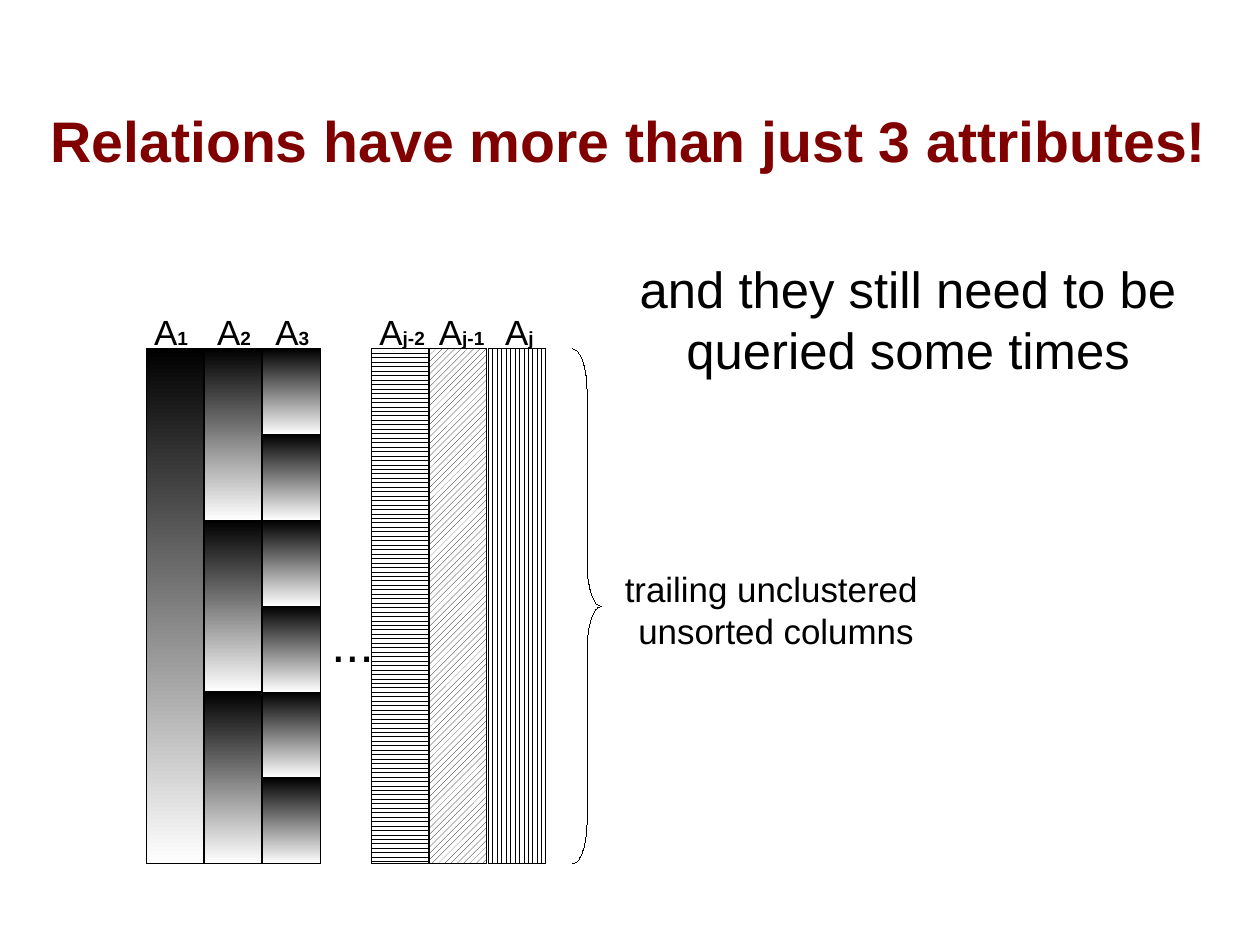
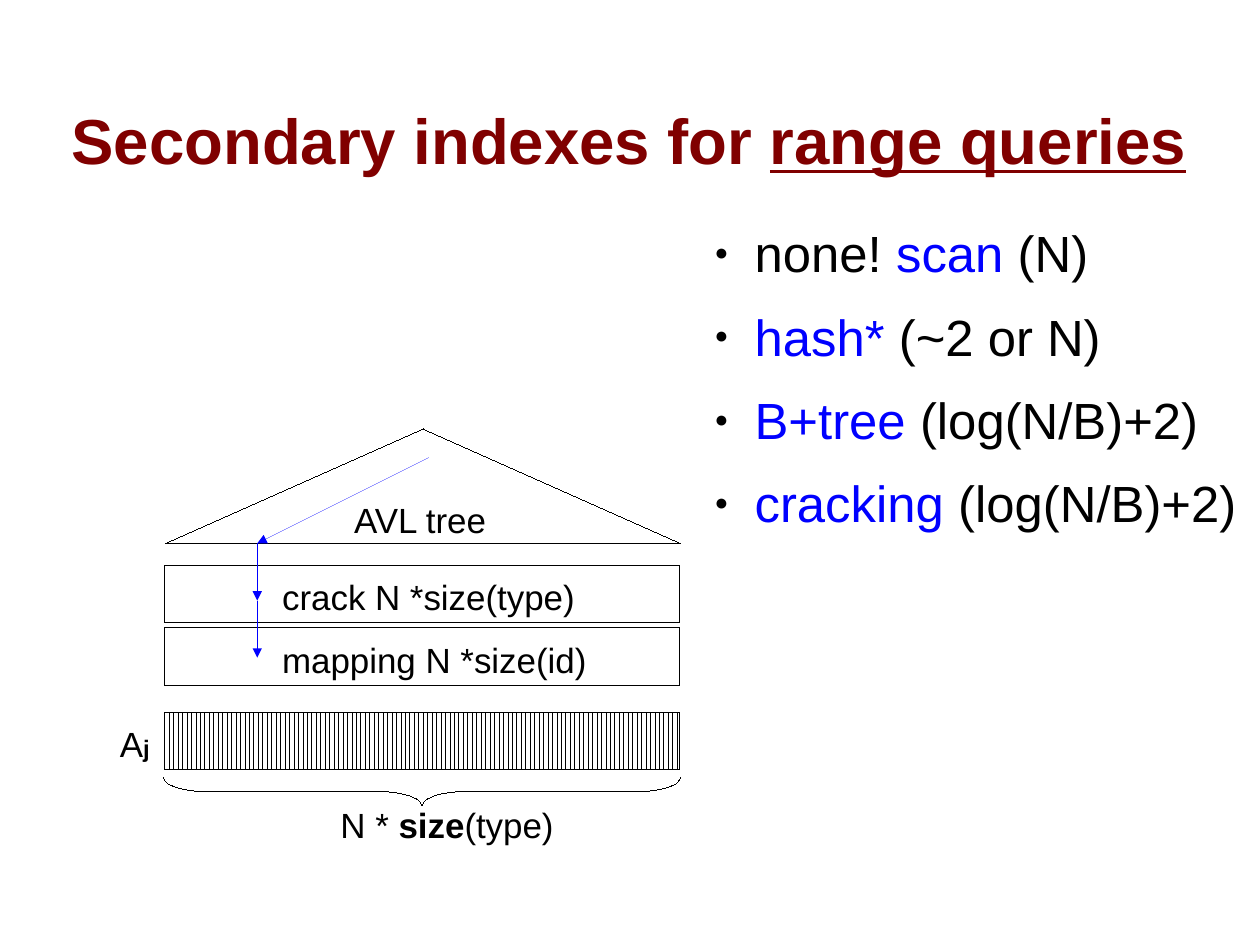
from lxml.etree import SubElement
from pptx import Presentation
from pptx.dml.color import RGBColor
from pptx.enum.dml import MSO_PATTERN_TYPE
from pptx.enum.shapes import MSO_CONNECTOR, MSO_SHAPE
from pptx.enum.text import MSO_ANCHOR, MSO_AUTO_SIZE, PP_ALIGN
from pptx.oxml.ns import qn
from pptx.util import Inches, Pt

COLORS = {"ink": "000000", "paper": "FFFFFF", "title": "800000", "accent": "0000FF"}
FONT = "Arial"
TITLE_BOX = (0.25, 0.53, 10.5, 1.38)
LABEL_SIZE = 22
LABEL_H = 0.44
INDEX_W = 0.65
HAIRLINE = Pt(0.01)
BAR = 0.5
PITCH = 0.51
BRACE_W = 0.25


def rgb(name):
    """Return a palette colour."""
    return RGBColor.from_string(COLORS[name])


def write_runs(p, runs, size, color="ink", bold=False):
    """Fill a paragraph with (text, overrides) runs."""
    for text, own in runs:
        r = p.add_run()
        r.text = text
        r.font.name = FONT
        r.font.size = Pt(own.get("size", size))
        r.font.bold = own.get("bold", bold)
        r.font.underline = own.get("underline", False)
        r.font.color.rgb = rgb(own.get("color", color))


def place_placeholder(sp, box, anchor):
    """Move a placeholder to a box, without margins, and return its frame."""
    sp.left, sp.top, sp.width, sp.height = map(Inches, box)
    tf = sp.text_frame
    tf.margin_left = tf.margin_right = tf.margin_top = tf.margin_bottom = 0
    tf.auto_size = MSO_AUTO_SIZE.NONE
    tf.vertical_anchor = anchor
    return tf


def new_slide(prs, title, size):
    """Add a slide with the shared title style."""
    s = prs.slides.add_slide(prs.slide_layouts[1])
    tf = place_placeholder(s.shapes.title, TITLE_BOX, MSO_ANCHOR.MIDDLE)
    p = tf.paragraphs[0]
    p.alignment = PP_ALIGN.CENTER
    write_runs(p, title, size, "title", True)
    return s


def add_body(s, box, items, bulleted):
    """Fill the body placeholder with bulleted or centred paragraphs."""
    tf = place_placeholder(s.placeholders[1], box, MSO_ANCHOR.TOP)
    for i, runs in enumerate(items):
        p = tf.add_paragraph() if i else tf.paragraphs[0]
        p.alignment = PP_ALIGN.LEFT if bulleted else PP_ALIGN.CENTER
        p.space_before, p.space_after = Pt(0), Pt(14.1)
        write_runs(p, runs, 32)
        pPr = p._p.get_or_add_pPr()
        indent = Inches(0.35) if bulleted else 0
        pPr.set("marL", str(indent))
        pPr.set("indent", str(-indent))
        if bulleted:
            SubElement(SubElement(pPr, qn("a:buClr")), qn("a:srgbClr"), val=COLORS["ink"])
            SubElement(pPr, qn("a:buSzPct"), val="45000")
            SubElement(pPr, qn("a:buFont"), typeface=FONT)
            SubElement(pPr, qn("a:buChar"), char="●")
        else:
            SubElement(pPr, qn("a:buNone"))


def add_label(s, box, *lines, size=LABEL_SIZE, align=PP_ALIGN.LEFT):
    """Add an unwrapped text box, one list of runs for each line."""
    tf = s.shapes.add_textbox(*map(Inches, box)).text_frame
    tf.word_wrap = False
    tf.auto_size = MSO_AUTO_SIZE.SHAPE_TO_FIT_TEXT
    for i, runs in enumerate(lines):
        p = tf.add_paragraph() if i else tf.paragraphs[0]
        p.alignment = align
        write_runs(p, runs, size)


def attribute(index, size=12):
    """Return the runs of an attribute name with its small index."""
    return [("A", {}), (index, {"size": size, "bold": True})]


def add_outline(s, kind, box):
    """Add an unfilled shape with a hairline."""
    sp = s.shapes.add_shape(kind, *map(Inches, box))
    sp.shadow.inherit = False
    sp.fill.background()
    sp.line.color.rgb = rgb("ink")
    sp.line.width = HAIRLINE
    return sp


def add_hatched(s, box, pattern):
    """Add a bar with a line pattern."""
    fill = add_outline(s, MSO_SHAPE.RECTANGLE, box).fill
    fill.patterned()
    fill.pattern = pattern
    fill.fore_color.rgb, fill.back_color.rgb = rgb("ink"), rgb("paper")


def add_sorted_column(s, box, parts):
    """Stack equal parts, each shaded from dark to light."""
    x, y, w, h = box
    part_h = h / parts
    for i in range(parts):
        fill = add_outline(s, MSO_SHAPE.RECTANGLE, (x, y + i * part_h, w, part_h)).fill
        fill.gradient()
        fill.gradient_angle = 270
        for stop, name in zip(fill.gradient_stops, ("ink", "paper")):
            stop.color.rgb = rgb(name)


def add_brace(s, box, rotation=0):
    """Add a right brace, optionally turned about its centre."""
    sp = add_outline(s, MSO_SHAPE.RIGHT_BRACE, box)
    sp.adjustments[0], sp.adjustments[1] = 1.5, 0.5
    sp.rotation = rotation


def add_arrow(s, start, end):
    """Add a hairline arrow between two points."""
    sp = s.shapes.add_connector(MSO_CONNECTOR.STRAIGHT, *map(Inches, start + end))
    sp.line.color.rgb = rgb("accent")
    sp.line.width = HAIRLINE
    spPr = sp._element.spPr
    SubElement(spPr.find(qn("a:ln")), qn("a:tailEnd"), type="triangle")
    SubElement(spPr, qn("a:effectLst"))


def add_relation(s, x, y, h):
    """Draw the sorted columns, the unsorted columns and their brace."""
    label_y = y - 0.38
    sorted_columns = [("1", 1, -0.03), ("2", 3, 0.01), ("3", 6, 0.01)]
    unsorted_columns = [
        ("j-2", MSO_PATTERN_TYPE.HORIZONTAL, -0.03),
        ("j-1", MSO_PATTERN_TYPE.WIDE_UPWARD_DIAGONAL, -0.02),
        ("j", MSO_PATTERN_TYPE.VERTICAL, 0.05),
    ]
    groups = [(x, sorted_columns, add_sorted_column), (x + 1.97, unsorted_columns, add_hatched)]
    for group_x, columns, add_column in groups:
        for i, (index, look, shift) in enumerate(columns):
            left = group_x + i * PITCH
            add_column(s, (left, y, BAR, h), look)
            add_label(s, (left + shift, label_y, INDEX_W, LABEL_H), attribute(index))
    add_label(s, (x + 1.52, y + h / 2, 0.65, 0.6), [("...", {})], size=32)
    add_brace(s, (x + 3.73, y, BRACE_W, h))
    add_label(s, (x + 4.08, y + 1.86, 2.77, 0.78), [("trailing unclustered", {})],
              [(" unsorted columns", {})], align=PP_ALIGN.CENTER)


def add_cracker_index(s, x, y, w):
    """Draw the tree, its two arrays, the base column and the lookup arrows."""
    add_outline(s, MSO_SHAPE.ISOSCELES_TRIANGLE, (x + 0.01, y, w, 1))
    add_label(s, (x + 1.56, y + 0.56, 1.6, LABEL_H), [("AVL tree ", {})])
    for i, text in enumerate(["crack N *size(type)", "mapping N *size(id)"]):
        top = y + 1.19 + i * 0.55
        add_outline(s, MSO_SHAPE.RECTANGLE, (x, top, w, BAR))
        add_label(s, (x + 0.93, top + 0.04, 3, LABEL_H), [(text, {})])
    base_y = y + 2.48
    add_hatched(s, (x, base_y, w, BAR), MSO_PATTERN_TYPE.VERTICAL)
    add_label(s, (x - 0.49, base_y + 0.04, INDEX_W, LABEL_H), attribute("j", 15))
    add_brace(s, (x + (w - BRACE_W) / 2, base_y + 0.68 - w / 2, BRACE_W, w + 0.02), 90)
    add_label(s, (x + 1.44, base_y + 0.75, 2.3, LABEL_H),
              [("N * ", {}), ("size", {"bold": True}), ("(type)", {})])
    stops = [(x + 2.31, y + 0.25)] + [(x + 0.81, y + 1 + i * BAR) for i in range(3)]
    for start, end in zip(stops, stops[1:]):
        add_arrow(s, start, end)


def build_attributes_slide(prs):
    """Build the slide on relations with many attributes."""
    s = new_slide(prs, [("Relations have more than just 3 attributes!", {})], 36)
    add_relation(s, 1.28, 3.05, 4.5)
    add_body(s, (5.39, 2.25, 5.11, 1.25),
             [[("and they still need to be queried some times", {})]], False)


def build_indexes_slide(prs):
    """Build the slide on secondary indexes."""
    s = new_slide(prs, [("Secondary indexes for ", {}),
                        ("range queries", {"underline": True})], 40)
    accent = {"color": "accent"}
    add_body(s, (6.25, 1.94, 4.75, 5.46), [
        [("none! ", {}), ("scan", accent), (" (N)", {})],
        [("hash*", accent), (" (~2 or N)", {})],
        [("B+tree", accent), (" (log(N/B)+2)", {})],
        [("cracking ", accent), ("(log(N/B)+2)", {})],
    ], True)
    add_cracker_index(s, 1.44, 3.75, 4.5)


prs = Presentation()
prs.slide_width, prs.slide_height = Inches(11.02), Inches(8.27)
build_attributes_slide(prs)
build_indexes_slide(prs)
prs.save("out.pptx")
